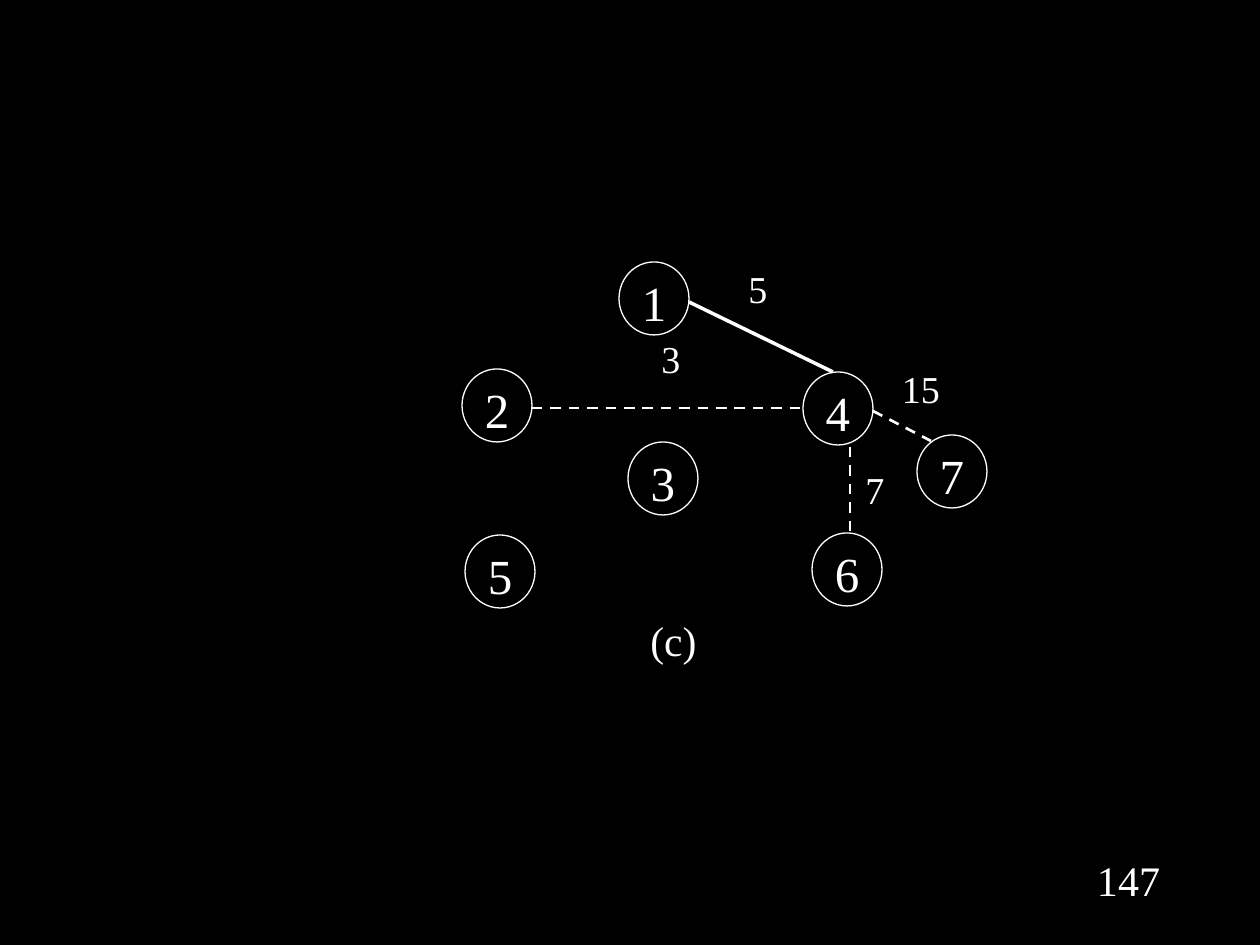
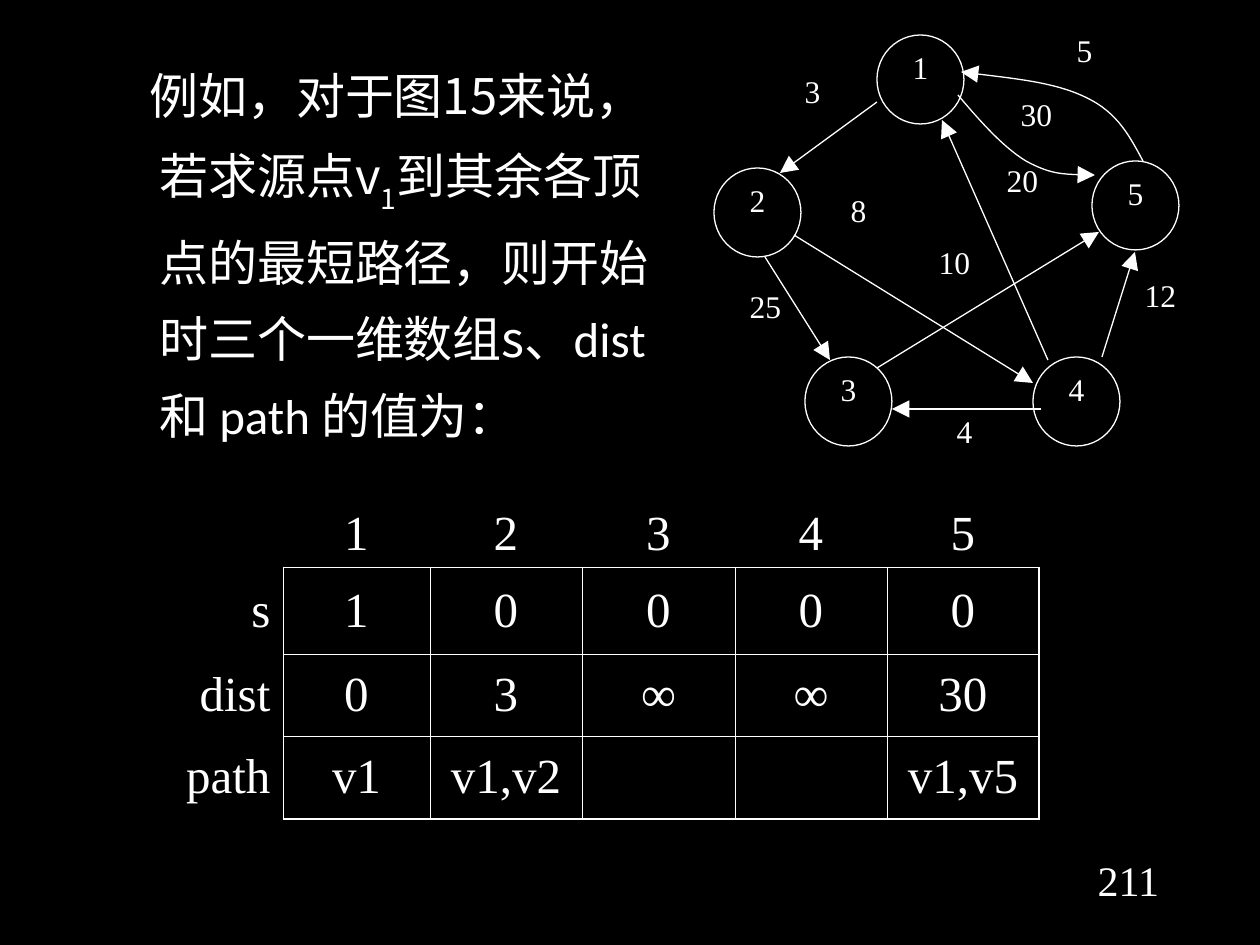
import pptx
import pptx.dml.color
import pptx.enum.dml
import pptx.enum.shapes
import pptx.enum.text
import pptx.oxml
import pptx.oxml.ns
import pptx.util
from lxml import etree

PX = 914400 // 126
WHITE = pptx.dml.color.RGBColor(0xFF, 0xFF, 0xFF)
BLACK = pptx.dml.color.RGBColor(0, 0, 0)
SERIF, SANS, CJK = "Times New Roman", "Calibri", "Noto Sans CJK SC"
ALIGN = pptx.enum.text.PP_ALIGN
ANCHOR = pptx.enum.text.MSO_ANCHOR
OVAL = pptx.enum.shapes.MSO_SHAPE.OVAL
STRAIGHT = pptx.enum.shapes.MSO_CONNECTOR.STRAIGHT

PAGE_NUMBER_AREA = (1081, 848, 95, 63)

TREE = {
    "node_size": (70, 73), "node_points": 28,
    "nodes": [("1", 619, 262), ("2", 462, 369), ("3", 628, 442), ("4", 803, 372),
              ("5", 465, 535), ("6", 812, 533), ("7", 917, 435)],
    "label_size": (64, 49), "label_points": 21.7, "label_spacing": 0.8,
    "labels": [("3", 639, 344), ("7", 843, 475), ("15", 889, 374), ("5", 726, 274)],
}
CHOSEN_EDGE = (689, 302, 833, 372)
CANDIDATE_EDGES = [(850, 447, 850, 535), (873, 411, 931, 441), (532, 408, 800, 408)]
CAPTION = ("(c)", (618, 621, 111, 52))

DIGRAPH = {
    "node_size": (87, 89), "node_points": 18,
    "nodes": [("1", 877, 35), ("2", 714, 168), ("3", 805, 357),
              ("4", 1033, 357), ("5", 1092, 161)],
    "label_size": (95, 71), "label_points": 18, "label_spacing": None,
    "labels": [("12", 1113, 276), ("20", 975, 161), ("10", 907, 243),
               ("8", 811, 191), ("3", 765, 72), ("30", 989, 95),
               ("5", 1037, 31), ("25", 718, 287), ("4", 917, 412)],
}
ARROWS = [(877, 102, 780, 173), (1048, 360, 942, 120), (1041, 409, 892, 409),
          (765, 257, 830, 360), (794, 235, 1033, 383), (1102, 357, 1135, 252),
          (877, 368, 1099, 232)]
# Start point, then three Bézier points for each segment
CURVED_ARROWS = [
    [(1143, 161), (1130, 137), (1118, 113), (1087, 98),
     (1057, 83), (1009, 78), (961, 72)],
    [(958, 95), (980, 121), (1003, 147), (1026, 161),
     (1050, 174), (1072, 175), (1095, 175)],
]

INTRO_AREA = (115, 42, 577, 431)
INTRO = [("例如，对于图15来说，若求源点v", CJK, False), ("1", CJK, True),
         ("到其余各顶点的最短路径，则开始时三个一维数组s、", CJK, False),
         ("dist ", SANS, False), ("和 ", CJK, False),
         ("path ", SANS, False), ("的值为：", CJK, False)]

ARRAYS = [["", "1", "2", "3", "4", "5"],
          ["s", "1", "0", "0", "0", "0"],
          ["dist", "0", "3", "∞", "∞", "30"],
          ["path", "v1", "v1,v2", "", "", "v1,v5"]]
ARRAYS_ORIGIN = (126, 486)
COLUMN_WIDTHS = [157, 147, 152, 153, 152, 152]
ROW_HEIGHTS = [81, 87, 82, 83]
THIN, THICK = 0.45, 1.08


def scaled(lengths):
    return [length * PX for length in lengths]


def add_span(para, text, points, font=SERIF, subscript=False):
    span = para.add_run()
    span.text = text
    span.font.size = pptx.util.Pt(points)
    span.font.color.rgb = WHITE
    span.font.name = font
    properties = span._r.get_or_add_rPr()
    etree.SubElement(properties, pptx.oxml.ns.qn("a:ea"), typeface=font)
    if subscript:
        properties.set("baseline", "-30000")


def clear_margins(frame):
    frame.margin_left = frame.margin_right = frame.margin_top = frame.margin_bottom = 0


def write_centred(frame, text, points, spacing=None):
    frame.word_wrap = True
    frame.vertical_anchor = ANCHOR.TOP
    para = frame.paragraphs[0]
    para.alignment = ALIGN.CENTER
    para.line_spacing = spacing
    add_span(para, text, points)


def add_label(page, text, area, points, spacing=None):
    box = page.shapes.add_textbox(*scaled(area))
    clear_margins(box.text_frame)
    write_centred(box.text_frame, text, points, spacing)


def add_page(deck, number):
    page = deck.slides.add_slide(deck.slide_layouts[6])
    page.background.fill.solid()
    page.background.fill.fore_color.rgb = BLACK
    box = page.shapes.add_textbox(*scaled(PAGE_NUMBER_AREA))
    write_centred(box.text_frame, number, 24)
    return page


def style_line(line, points, dashed=False, arrow=False):
    line.color.rgb = WHITE
    line.width = pptx.util.Pt(points)
    if dashed:
        line.dash_style = pptx.enum.dml.MSO_LINE.DASH
    if arrow:
        etree.SubElement(line._get_or_add_ln(), pptx.oxml.ns.qn("a:tailEnd"),
                         type="triangle", w="lg", len="lg")


def add_edge(page, ends, points, **style):
    edge = page.shapes.add_connector(STRAIGHT, *scaled(ends))
    style_line(edge.line, points, **style)
    etree.SubElement(edge._element.spPr, pptx.oxml.ns.qn("a:effectLst"))


def add_curved_arrow(page, points):
    builder = page.shapes.build_freeform(*points[0], scale=PX)
    builder.add_line_segments(points[1:], close=False)
    curve = builder.convert_to_shape()
    curve.shadow.inherit = False
    curve.fill.background()
    style_line(curve.line, 0.75, arrow=True)
    segments = curve._element.xpath(".//a:lnTo")
    for start in range(0, len(segments), 3):
        bezier = etree.Element(pptx.oxml.ns.qn("a:cubicBezTo"))
        segments[start].addprevious(bezier)
        for segment in segments[start:start + 3]:
            bezier.append(segment[0])
            segment.getparent().remove(segment)


def add_graph(page, graph):
    """Draw the nodes of a graph and the weights of its edges."""
    for text, left, top in graph["labels"]:
        add_label(page, text, (left, top, *graph["label_size"]),
                  graph["label_points"], graph["label_spacing"])
    for text, left, top in graph["nodes"]:
        node = page.shapes.add_shape(OVAL, *scaled((left, top, *graph["node_size"])))
        node.shadow.inherit = False
        node.fill.background()
        style_line(node.line, 0.75)
        clear_margins(node.text_frame)
        write_centred(node.text_frame, text, graph["node_points"])


def add_intro(page):
    box = page.shapes.add_textbox(*scaled(INTRO_AREA))
    frame = box.text_frame
    frame.word_wrap = True
    para = frame.paragraphs[0]
    para.line_spacing = 1.3
    properties = para._p.get_or_add_pPr()
    properties.set("marL", str(32 * PX))
    properties.set("indent", str(-10 * PX))
    for text, font, subscript in INTRO:
        add_span(para, text, 28, font, subscript)


def set_borders(cell, widths):
    """Give a cell its border widths in points; None means no line."""
    properties = cell._tc.get_or_add_tcPr()
    for side in "LRTB":
        width = widths.get(side)
        border = etree.SubElement(properties, pptx.oxml.ns.qn("a:ln" + side))
        if width is None:
            etree.SubElement(border, pptx.oxml.ns.qn("a:noFill"))
        else:
            border.set("w", str(pptx.util.Pt(width)))
            fill = etree.SubElement(border, pptx.oxml.ns.qn("a:solidFill"))
            etree.SubElement(fill, pptx.oxml.ns.qn("a:srgbClr"), val=str(WHITE))


def cell_borders(row, column):
    last_row, last_column = len(ARRAYS) - 1, len(ARRAYS[0]) - 1
    if row == 0:
        return {"B": THIN} if column else {}
    if column == 0:
        return {"R": THIN}
    return {"L": THIN, "T": THIN,
            "R": THICK if column == last_column else THIN,
            "B": THICK if row == last_row else THIN}


def add_arrays(page):
    size = sum(COLUMN_WIDTHS), sum(ROW_HEIGHTS)
    table = page.shapes.add_table(len(ARRAYS), len(ARRAYS[0]),
                                  *scaled((*ARRAYS_ORIGIN, *size))).table
    table.first_row = table.horz_banding = False
    for column, width in zip(table.columns, COLUMN_WIDTHS):
        column.width = width * PX
    for row, height in zip(table.rows, ROW_HEIGHTS):
        row.height = height * PX
    for row, texts in enumerate(ARRAYS):
        for column, text in enumerate(texts):
            cell = table.cell(row, column)
            set_borders(cell, cell_borders(row, column))
            cell.fill.background()
            cell.vertical_anchor = ANCHOR.MIDDLE if row else ANCHOR.BOTTOM
            if text:
                para = cell.text_frame.paragraphs[0]
                para.alignment = ALIGN.CENTER if column else ALIGN.RIGHT
                add_span(para, text, 28)


def add_tree_page(deck):
    page = add_page(deck, "147")
    add_graph(page, TREE)
    add_edge(page, CHOSEN_EDGE, 2)
    for ends in CANDIDATE_EDGES:
        add_edge(page, ends, 1.5, dashed=True)
    add_label(page, *CAPTION, 23.8, 0.9)


def add_shortest_paths_page(deck):
    page = add_page(deck, "211")
    add_intro(page)
    add_graph(page, DIGRAPH)
    for ends in ARROWS:
        add_edge(page, ends, 0.75, arrow=True)
    for points in CURVED_ARROWS:
        add_curved_arrow(page, points)
    add_arrays(page)


def main():
    deck = pptx.Presentation()
    deck.slide_width, deck.slide_height = pptx.util.Inches(10), pptx.util.Inches(7.5)
    add_tree_page(deck)
    add_shortest_paths_page(deck)
    deck.save("out.pptx")


if __name__ == "__main__":
    main()
